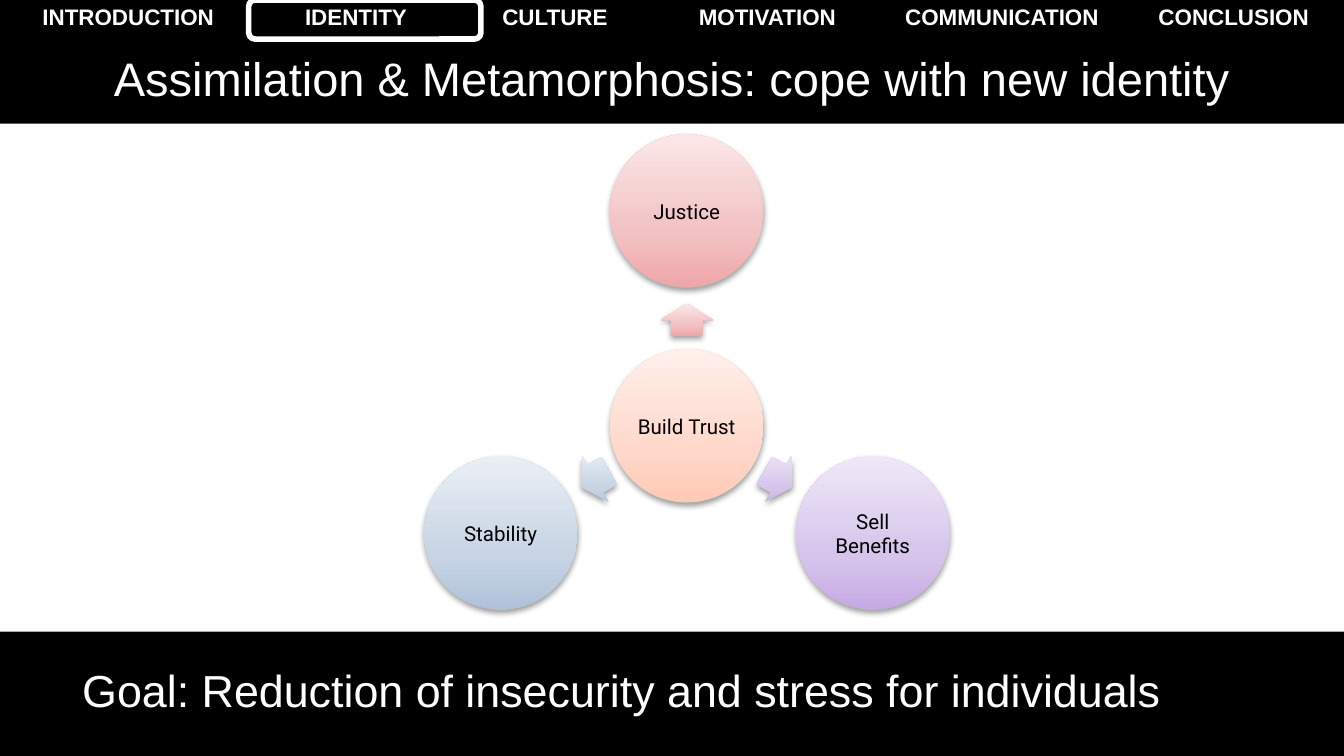
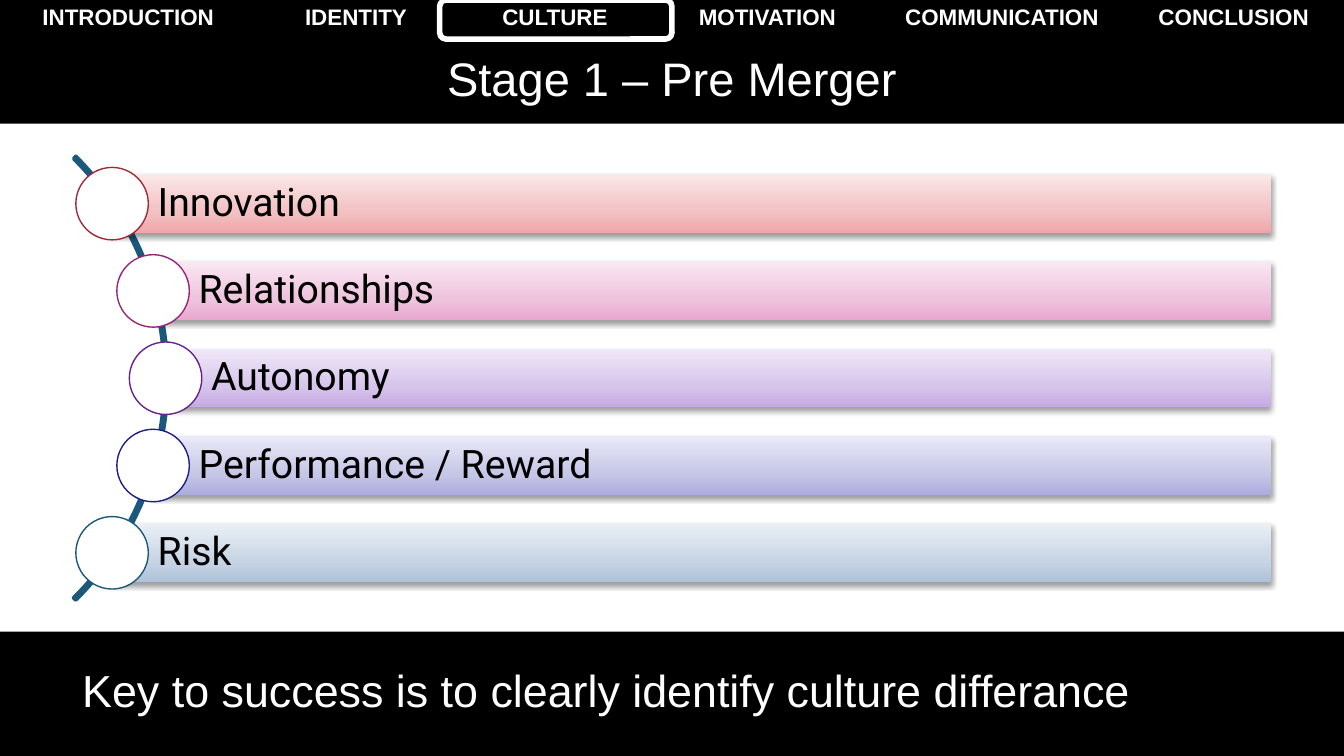
"""Build two slides on identity and culture in a merger."""
from copy import deepcopy
from math import cos, radians, sin, sqrt
from typing import NamedTuple

from lxml import etree
from pptx import Presentation
from pptx.dml.color import RGBColor
from pptx.enum.shapes import MSO_SHAPE, PP_PLACEHOLDER
from pptx.enum.text import MSO_ANCHOR, MSO_AUTO_SIZE, PP_ALIGN
from pptx.oxml.ns import qn
from pptx.util import Cm, Pt

RECTANGLE = MSO_SHAPE.RECTANGLE
OVAL = MSO_SHAPE.OVAL
ROUNDED = MSO_SHAPE.ROUNDED_RECTANGLE
ARROW = MSO_SHAPE.RIGHT_ARROW
ARC = MSO_SHAPE.BLOCK_ARC
TITLE = PP_PLACEHOLDER.TITLE
UNUSED = (PP_PLACEHOLDER.DATE, PP_PLACEHOLDER.FOOTER, PP_PLACEHOLDER.SLIDE_NUMBER)
MIDDLE = MSO_ANCHOR.MIDDLE
TOP = MSO_ANCHOR.TOP
NO_AUTOFIT = MSO_AUTO_SIZE.NONE
LEFT = PP_ALIGN.LEFT
CENTER = PP_ALIGN.CENTER

BLACK = "000000"
WHITE = "FFFFFF"
ARC_BLUE = "1B587C"
HEADING_FONT = "Arial"
DIAGRAM_FONT = "Roboto"
PLAIN_TABLE_STYLE = "{2D5ABB26-0587-4C30-8999-92F81FD0307C}"


class Box(NamedTuple):
    """Position and size in centimetres."""
    left: float
    top: float
    width: float
    height: float


class Gradient(NamedTuple):
    """Colours from the bottom to the top of a shape."""
    bottom: str
    middle: str
    top: str


class Section(NamedTuple):
    """One entry of the navigation row."""
    label: str
    width: float


class Spoke(NamedTuple):
    """One outer circle of the trust diagram."""
    label: str
    angle: int
    gradient: Gradient


class Bar(NamedTuple):
    """One row of the culture list."""
    label: str
    outline: str
    gradient: Gradient


RED = Gradient("EEA6A9", "F2C1C3", "FBE7E7")
ORANGE = Gradient("FFC9B5", "FFD8CB", "FFF0EB")
PINK = Gradient("E9A8CF", "EEC3DD", "F9E7F2")
PURPLE = Gradient("C5AAE4", "D6C4EB", "EFE8F8")
INDIGO = Gradient("ADADDF", "C6C6E7", "E9E9F7")
BLUE = Gradient("AFC2DA", "C7D4E4", "EAEFF5")

PAGE = Box(0, 0, 25.4, 14.29)
CONTENT_BAND = Box(0, 2.34, 25.4, 9.6)
TITLE_BOX = Box(1.27, 0.94, 22.86, 1.04)
MESSAGE_BOX = Box(1.3, 12.24, 23.01, 1.65)
NAVIGATION_BOX = Box(0, 0, 25.4, 0.76)
SECTIONS = (
    Section("INTRODUCTION", 4.85),
    Section("IDENTITY", 3.76),
    Section("CULTURE", 3.76),
    Section("MOTIVATION", 4.27),
    Section("COMMUNICATION", 4.6),
    Section("CONCLUSION", 4.16),
)
SPOKES = (
    Spoke("Justice", 270, RED),
    Spoke("Sell Benefits", 30, PURPLE),
    Spoke("Stability", 150, BLUE),
)
BARS = (
    Bar("Innovation", "9F2936", RED),
    Bar("Relationships", "962579", PINK),
    Bar("Autonomy", "66228E", PURPLE),
    Bar("Performance / Reward", "1E1E85", INDIGO),
    Bar("Risk", ARC_BLUE, BLUE),
)


def color(value: str) -> RGBColor:
    """Turn a hex string into a colour."""
    return RGBColor.from_string(value)


def centered(x: float, y: float, width: float, height: float) -> Box:
    """Return the box around a centre point."""
    return Box(x - width / 2, y - height / 2, width, height)


def place(shape, box: Box) -> None:
    """Move and size a shape."""
    shape.left, shape.top, shape.width, shape.height = map(Cm, box)


def add_run(paragraph, text: str, size: float, font: str, ink: str, bold: bool = False) -> None:
    """Add one formatted run."""
    run = paragraph.add_run()
    run.text = text
    run.font.size = Pt(size)
    run.font.name = font
    run.font.bold = bold
    run.font.color.rgb = color(ink)


def add_shape(slide, kind, box: Box, fill: str = "", line: str = "", width: float = 0):
    """Add a flat preset shape; an empty colour means none."""
    shape = slide.shapes.add_shape(kind, *map(Cm, box))
    shape.shadow.inherit = False
    if fill:
        shape.fill.solid()
        shape.fill.fore_color.rgb = color(fill)
    else:
        shape.fill.background()
    if line:
        shape.line.color.rgb = color(line)
        shape.line.width = Pt(width)
    else:
        shape.line.fill.background()
    return shape


def add_soft_shape(slide, kind, box: Box, gradient: Gradient):
    """Add a shape with an upright gradient and a soft shadow."""
    shape = add_shape(slide, kind, box)
    shape.fill.gradient()
    shape.fill.gradient_angle = 90
    properties = shape.element.spPr
    gradient_fill = properties.find(qn("a:gradFill"))
    gradient_fill.set("rotWithShape", "0")
    stops = gradient_fill.find(qn("a:gsLst"))
    stops.append(deepcopy(stops[0]))
    for stop, position, value in zip(shape.fill.gradient_stops, (0, 0.35, 1), gradient):
        stop.position = position
        stop.color.rgb = color(value)
    shadow = etree.SubElement(
        properties.find(qn("a:effectLst")), qn("a:outerShdw"),
        blurRad="40000", dist="20000", dir="5400000", rotWithShape="0")
    shade = etree.SubElement(shadow, qn("a:srgbClr"), val=BLACK)
    etree.SubElement(shade, qn("a:alpha"), val="38000")
    return shape


def write_label(shape, text: str, size: float, alignment, inset: float, left_inset: float):
    """Write a diagram label into a shape and return its paragraph."""
    frame = shape.text_frame
    frame.word_wrap = True
    frame.vertical_anchor = MIDDLE
    frame.margin_left = Cm(left_inset)
    frame.margin_right = frame.margin_top = frame.margin_bottom = Cm(inset)
    paragraph = frame.paragraphs[0]
    paragraph.alignment = alignment
    add_run(paragraph, text, size, DIAGRAM_FONT, BLACK)
    return paragraph


def add_navigation(slide):
    """Add the row of section names."""
    frame = slide.shapes.add_table(1, len(SECTIONS), *map(Cm, NAVIGATION_BOX))
    table = frame.table
    table.first_row = table.horz_banding = False
    for style in frame.element.iter(qn("a:tableStyleId")):
        style.text = PLAIN_TABLE_STYLE
    for column, cell, section in zip(table.columns, table.rows[0].cells, SECTIONS):
        column.width = Cm(section.width)
        cell.fill.background()
        cell.margin_left = cell.margin_right = Cm(0.25)
        cell.margin_top = cell.margin_bottom = Cm(0.1)
        paragraph = cell.text_frame.paragraphs[0]
        paragraph.alignment = CENTER
        add_run(paragraph, section.label, 12, HEADING_FONT, WHITE, True)
    return frame


def prepare_template(presentation, layout) -> None:
    """Keep one layout and place its title and message."""
    for spare in list(presentation.slide_layouts):
        if spare.name != layout.name:
            presentation.slide_layouts.remove(spare)
    for template in (presentation.slide_master, layout):
        for placeholder in list(template.placeholders):
            kind = placeholder.placeholder_format.type
            if kind in UNUSED:
                placeholder.element.getparent().remove(placeholder.element)
            else:
                place(placeholder, TITLE_BOX if kind == TITLE else MESSAGE_BOX)


def decorate_layout(layout, slide) -> None:
    """Draw the shared bands and navigation and move them to the layout."""
    for shared in (
        add_shape(slide, RECTANGLE, PAGE, BLACK, BLACK, 2),
        add_shape(slide, RECTANGLE, CONTENT_BAND, WHITE),
        add_navigation(slide),
    ):
        layout.shapes.element.append(shared.element)


def write_headings(slide, title: str, message: str) -> None:
    """Fill the title and the message under the diagram."""
    title_frame = slide.shapes.title.text_frame
    title_frame.auto_size = NO_AUTOFIT
    title_frame.vertical_anchor = MIDDLE
    heading = title_frame.paragraphs[0]
    heading.alignment = CENTER
    add_run(heading, title, 25.2, HEADING_FONT, WHITE)

    message_frame = slide.placeholders[1].text_frame
    message_frame.auto_size = NO_AUTOFIT
    message_frame.vertical_anchor = TOP
    message_frame.margin_top = Cm(0.28)
    paragraph = message_frame.paragraphs[0]
    paragraph.space_before = Pt(0)
    properties = paragraph._p.get_or_add_pPr()
    properties.set("marL", "0")
    properties.set("indent", "0")
    etree.SubElement(properties, qn("a:buNone"))
    add_run(paragraph, message, 24, HEADING_FONT, WHITE)


def mark_section(slide, left: float) -> None:
    """Outline the current section in the navigation row."""
    add_shape(slide, ROUNDED, Box(left, 0, 4.39, 0.74), line=WHITE, width=3)


def draw_trust_diagram(slide) -> None:
    """Draw a hub with arrows to the outer circles."""
    hub_x, hub_y, diameter = 12.98, 8.05, 2.9

    def add_circle(x: float, y: float, label: str, gradient: Gradient) -> None:
        """Add one labelled circle."""
        circle = add_soft_shape(slide, OVAL, centered(x, y, diameter, diameter), gradient)
        write_label(circle, label, 11, CENTER, 0.05, 0.05)

    add_circle(hub_x, hub_y, "Build Trust", ORANGE)
    for spoke in SPOKES:
        across, down = cos(radians(spoke.angle)), sin(radians(spoke.angle))
        arrow_box = centered(hub_x + 2 * across, hub_y + 2 * down, 0.61, 0.99)
        arrow = add_soft_shape(slide, ARROW, arrow_box, spoke.gradient)
        arrow.rotation = spoke.angle
        arrow.adjustments[0] = 0.6
        arrow.adjustments[1] = 0.5
        add_circle(hub_x + 4.06 * across, hub_y + 4.06 * down, spoke.label, spoke.gradient)


def draw_culture_list(slide) -> None:
    """Draw bars whose round heads follow an arc."""
    arc_x, arc_y, radius, right, pitch = -2.76, 7.15, 5.89, 24.02, 1.65
    arc = add_shape(slide, ARC, centered(arc_x, arc_y, 11.86, 11.86), line=ARC_BLUE, width=2)
    for index, value in enumerate((189, 27, 0.005)):
        arc.adjustments[index] = value
    for index, bar in enumerate(BARS):
        offset = (index - len(BARS) // 2) * pitch
        x, y = arc_x + sqrt(radius ** 2 - offset ** 2), arc_y + offset
        strip = add_soft_shape(slide, RECTANGLE, Box(x, y - 0.55, right - x, 1.1), bar.gradient)
        write_label(strip, bar.label, 21, LEFT, 0.15, 0.86).line_spacing = 0.9
        add_shape(slide, OVAL, centered(x, y, 1.37, 1.37), WHITE, bar.outline, 0.75)


def main() -> None:
    """Build and save the presentation."""
    presentation = Presentation()
    presentation.slide_width, presentation.slide_height = Cm(PAGE.width), Cm(PAGE.height)
    layout = presentation.slide_layouts[1]
    prepare_template(presentation, layout)

    identity = presentation.slides.add_slide(layout)
    decorate_layout(layout, identity)
    write_headings(identity, "Assimilation & Metamorphosis: cope with new identity",
                   "Goal: Reduction of insecurity and stress for individuals")
    draw_trust_diagram(identity)
    mark_section(identity, 4.7)

    culture = presentation.slides.add_slide(layout)
    write_headings(culture, "Stage 1 – Pre Merger",
                   "Key to success is to clearly identify culture differance")
    draw_culture_list(culture)
    mark_section(culture, 8.31)
    presentation.save("out.pptx")


if __name__ == "__main__":
    main()
